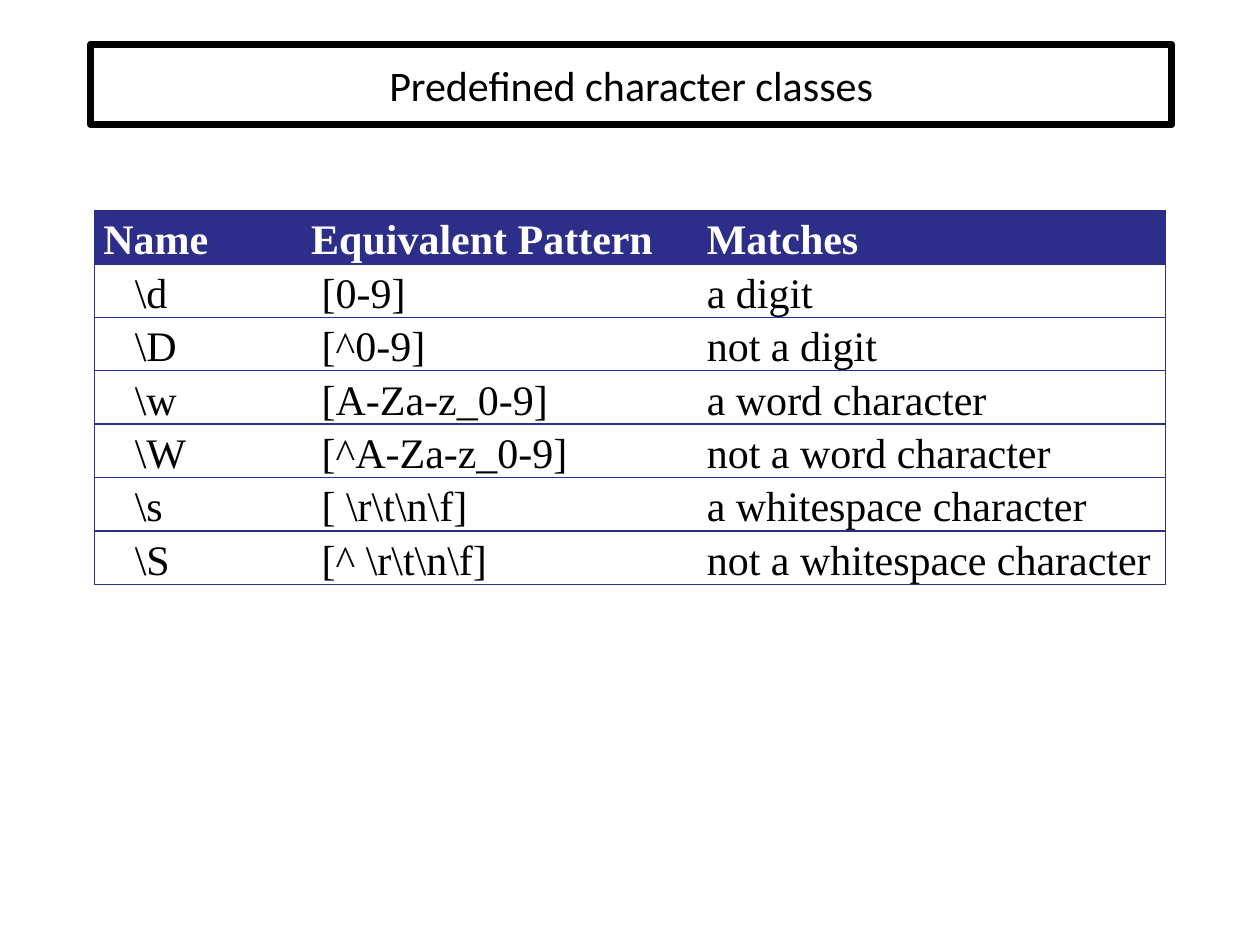
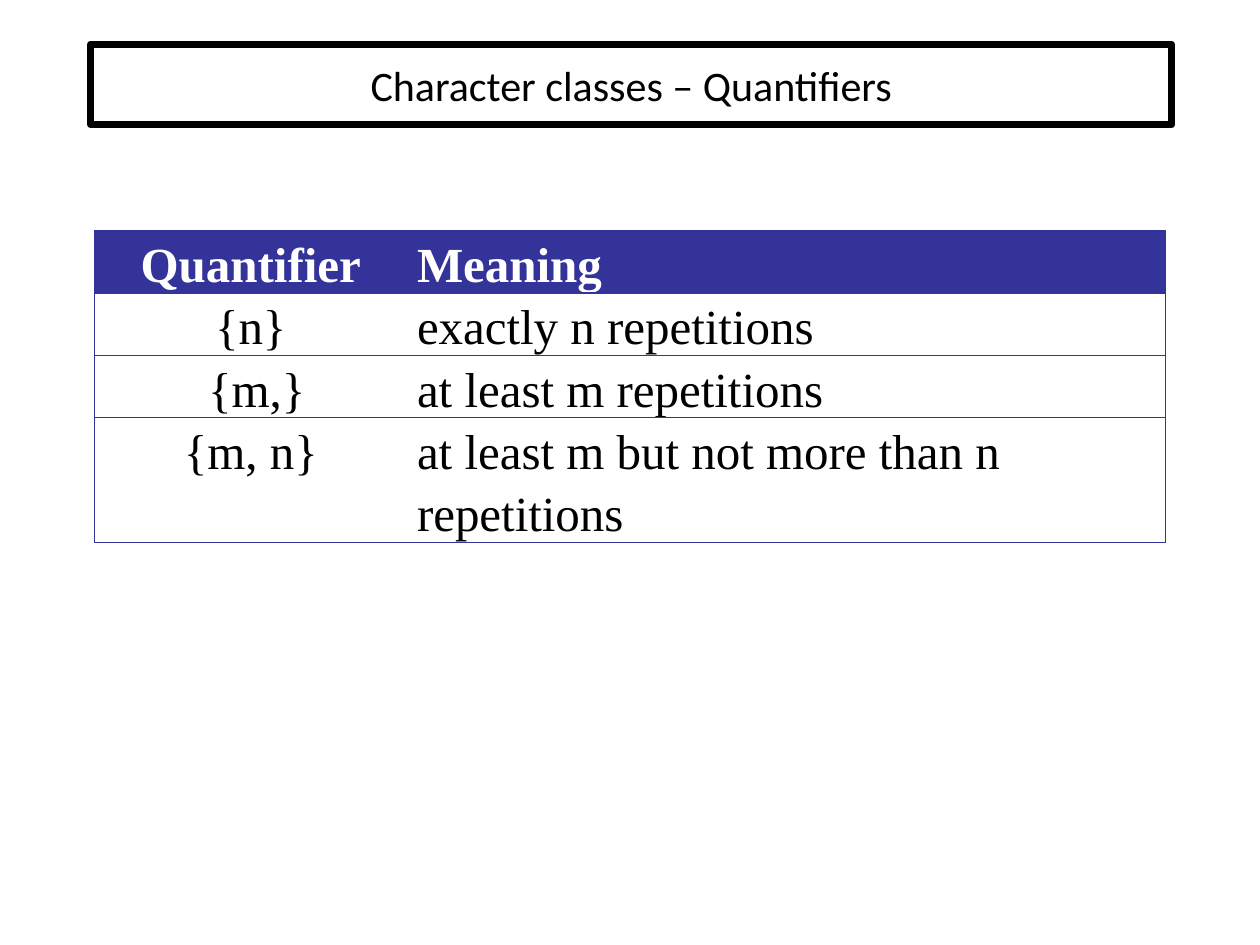
from lxml import etree
from pptx import Presentation
from pptx.dml.color import RGBColor
from pptx.enum.text import MSO_ANCHOR, PP_ALIGN
from pptx.oxml.ns import qn
from pptx.util import Inches, Pt

LEFT, CENTER = PP_ALIGN.LEFT, PP_ALIGN.CENTER
MIDDLE = MSO_ANCHOR.MIDDLE

COLORS = {
    "ink": "000000",
    "paper": "FFFFFF",
    "navy": "2D2D8A",
    "indigo": "333399",
}
TITLE_FONT = "Calibri"
TABLE_FONT = "Times New Roman"
TITLE_ONLY_LAYOUT = 5
SLIDE_WIDTH, SLIDE_HEIGHT = Inches(10), Inches(7.5)
GRID_COLUMNS, GRID_ROWS = 100, 75

CLASS_ROWS = [
    ("Name", "Equivalent Pattern", "Matches"),
    (r"\d", "[0-9]", "a digit"),
    (r"\D", "[^0-9]", "not a digit"),
    (r"\w", "[A-Za-z_0-9]", "a word character"),
    (r"\W", "[^A-Za-z_0-9]", "not a word character"),
    (r"\s", r"[ \r\t\n\f]", "a whitespace character"),
    (r"\S", r"[^ \r\t\n\f]", "not a whitespace character"),
]
QUANTIFIER_ROWS = [
    ("Quantifier", "Meaning"),
    ("{n}", "exactly n repetitions"),
    ("{m,}", "at least m repetitions"),
    ("{m, n}", "at least m but not more than n repetitions"),
]


def color(name):
    return RGBColor.from_string(COLORS[name])


def across(columns):
    return round(SLIDE_WIDTH * columns / GRID_COLUMNS)


def down(rows):
    return round(SLIDE_HEIGHT * rows / GRID_ROWS)


def write(frame, text, *, font, size, ink="ink", bold=False, align=LEFT, spacing=None):
    para = frame.paragraphs[0]
    para.alignment = align
    para.line_spacing = spacing
    span = para.add_run()
    span.text = text
    span.font.name = font
    span.font.size = Pt(size)
    span.font.bold = bold
    span.font.color.rgb = color(ink)


def set_borders(cell, ink, visible):
    properties = cell._tc.get_or_add_tcPr()
    for position, side in enumerate("LRTB"):
        line = etree.Element(qn(f"a:ln{side}"), w=str(Pt(1)))
        if side in visible:
            fill = etree.SubElement(line, qn("a:solidFill"))
            etree.SubElement(fill, qn("a:srgbClr"), val=COLORS[ink])
        else:
            etree.SubElement(line, qn("a:noFill"))
        properties.insert(position, line)


class SlideBuilder:
    def __init__(self):
        self.deck = Presentation()
        self.deck.slide_width = SLIDE_WIDTH
        self.deck.slide_height = SLIDE_HEIGHT
        self.slide = None

    def page(self, title):
        layout = self.deck.slide_layouts[TITLE_ONLY_LAYOUT]
        self.slide = self.deck.slides.add_slide(layout)
        box = self.slide.shapes.title
        box.left, box.top = across(7.2), down(3.5)
        box.width, box.height = across(85.8), down(6.4)
        box.fill.solid()
        box.fill.fore_color.rgb = color("paper")
        box.line.color.rgb = color("ink")
        box.line.width = Pt(4)
        box.text_frame.vertical_anchor = MIDDLE
        write(box.text_frame, title, font=TITLE_FONT, size=24, align=CENTER)

    def table(self, entries, *, top, widths, heights, accent, size, margin,
              aligns, indents):
        frame = self.slide.shapes.add_table(
            len(entries), len(widths), across(7.5), down(top),
            across(sum(widths)), down(sum(heights)))
        grid = frame.table
        for column, width in zip(grid.columns, widths):
            column.width = across(width)
        for row, height in zip(grid.rows, heights):
            row.height = down(height)
        last = len(widths) - 1
        for row_index, texts in enumerate(entries):
            header = row_index == 0
            for column_index, text in enumerate(texts):
                cell = grid.cell(row_index, column_index)
                cell.margin_left = across(margin + indents.get(text, 0))
                cell.margin_right = across(margin)
                cell.margin_top = cell.margin_bottom = 0
                cell.fill.solid()
                cell.fill.fore_color.rgb = color(accent if header else "paper")
                sides = "TB" + "L" * (column_index == 0) + "R" * (column_index == last)
                set_borders(cell, accent, sides)
                write(cell.text_frame, text, font=TABLE_FONT, size=size,
                      ink="paper" if header else "ink", bold=header,
                      align=aligns[column_index], spacing=1.15)

    def save(self):
        self.deck.save("out.pptx")


def main():
    builder = SlideBuilder()

    builder.page("Predefined character classes")
    class_indents = {}
    for name, pattern, _ in CLASS_ROWS[1:]:
        class_indents[name] = 2.5
        class_indents[pattern] = 0.83
    builder.table(CLASS_ROWS, top=16.7, widths=(16.5, 31.4, 37.1),
                  heights=[4.2] * len(CLASS_ROWS), accent="navy", size=24,
                  margin=0.7, aligns=(LEFT, LEFT, LEFT), indents=class_indents)

    builder.page("Character classes – Quantifiers")
    builder.table(QUANTIFIER_ROWS, top=18.3, widths=(24.8, 60.2),
                  heights=(4.9, 4.9, 4.9, 9.8), accent="indigo", size=28,
                  margin=0.8, aligns=(CENTER, LEFT), indents={"{m,}": 0.97})

    builder.save()


if __name__ == "__main__":
    main()
